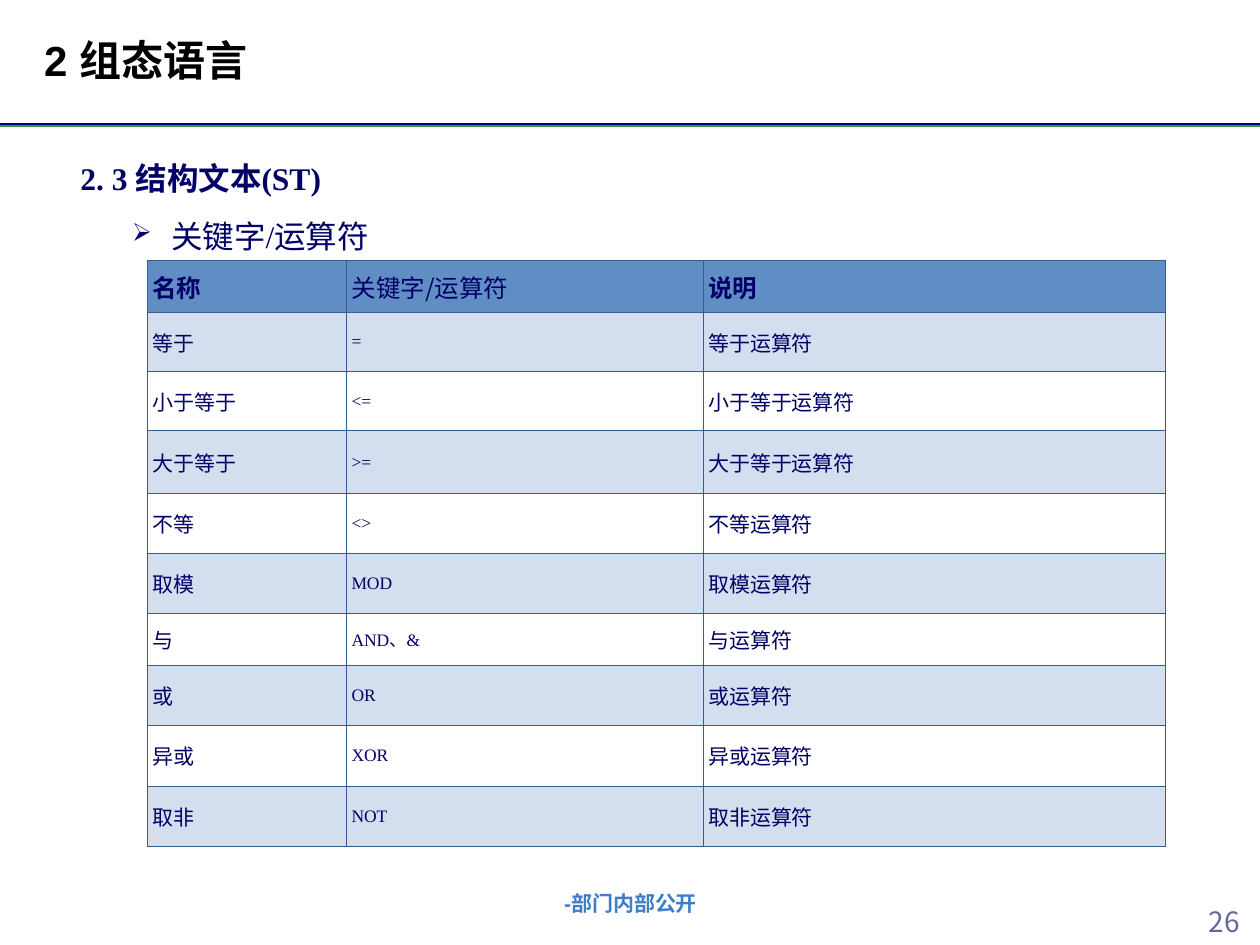
import pptx
import pptx.util
import pptx.dml.color
import pptx.enum.shapes
import pptx.enum.text
import pptx.oxml
import pptx.oxml.ns
import lxml.etree

Inches, Pt = pptx.util.Inches, pptx.util.Pt
RGBColor = pptx.dml.color.RGBColor
PP_ALIGN, ANCHOR = pptx.enum.text.PP_ALIGN, pptx.enum.text.MSO_ANCHOR
qn, parse_xml = pptx.oxml.ns.qn, pptx.oxml.parse_xml
NS = 'xmlns:a="http://schemas.openxmlformats.org/drawingml/2006/main"'

# Content
TITLE = "2 组态语言"
SECTION = "2. 3 结构文本(ST)"
TOPIC = "关键字/运算符"
FOOTER = "-部门内部公开"
PAGE = "26"
HEADER = ("名称", "关键字/运算符", "说明")
OPERATORS = [
    ("等于", "="),
    ("小于等于", "<="),
    ("大于等于", ">="),
    ("不等", "<>"),
    ("取模", "MOD"),
    ("与", "AND、&"),
    ("或", "OR"),
    ("异或", "XOR"),
    ("取非", "NOT"),
]
COLUMN_WIDTHS = (1.58, 2.83, 3.67)
ROW_HEIGHTS = (0.41, 0.47, 0.47, 0.5, 0.47, 0.48, 0.41, 0.48, 0.48, 0.48)

# Fonts and colours
SANS, SERIF, CJK = "Arial", "Times New Roman", "Noto Sans CJK SC"
BLACK = RGBColor(0x00, 0x00, 0x00)
NAVY = RGBColor(0x00, 0x00, 0x66)
RULE_BLUE = RGBColor(0x00, 0x00, 0x99)
RULE_GREEN = RGBColor(0x33, 0x99, 0x33)
FOOTER_BLUE = RGBColor(0x3D, 0x7D, 0xCB)
PAGE_PURPLE = RGBColor(0x66, 0x66, 0x99)
HEADER_FILL = RGBColor(0x60, 0x8D, 0xC4)
BAND_FILL = RGBColor(0xD3, 0xDF, 0xEE)
BORDER = RGBColor(0x34, 0x5C, 0x8C)


def write(frame, text, size, font, color, bold=False, align=PP_ALIGN.LEFT):
    frame.text = text
    paragraph = frame.paragraphs[0]
    paragraph.alignment = align
    for run in paragraph.runs:
        run.font.size, run.font.bold, run.font.name = Pt(size), bold, font
        run.font.color.rgb = color
        east_asian = parse_xml(f'<a:ea {NS} typeface="{CJK}"/>')
        run.font._element.find(qn("a:latin")).addnext(east_asian)
    return paragraph


def add_text(place, *style, wrap=True, **options):
    box = slide.shapes.add_textbox(*map(Inches, place))
    box.text_frame.word_wrap = wrap
    return write(box.text_frame, *style, **options)


def add_rule(y, color):
    rule = slide.shapes.add_connector(
        pptx.enum.shapes.MSO_CONNECTOR.STRAIGHT, 0, Inches(y), Inches(10), Inches(y))
    rule.line.color.rgb, rule.line.width = color, Pt(1.5)
    lxml.etree.SubElement(rule._element.spPr, qn("a:effectLst"))


def add_borders(cell):
    properties = cell._tc.get_or_add_tcPr()
    for side in "LRTB":
        properties.append(parse_xml(
            f'<a:ln{side} {NS} w="{Pt(0.45)}"><a:solidFill>'
            f'<a:srgbClr val="{BORDER}"/></a:solidFill></a:ln{side}>'))


presentation = pptx.Presentation()
presentation.slide_width, presentation.slide_height = Inches(10), Inches(7.5)
slide = presentation.slides.add_slide(presentation.slide_layouts[5])

# Title and double rule
title = slide.shapes.title
title.left, title.top = Inches(0.25), Inches(0)
title.width, title.height = Inches(8.98), Inches(0.94)
title.text_frame.vertical_anchor = ANCHOR.MIDDLE
write(title.text_frame, TITLE, 24, SANS, BLACK, bold=True)
add_rule(0.99, RULE_BLUE)
add_rule(1, RULE_GREEN)

# Section heading and bulleted topic
add_text((0.54, 1.21, 2.23, 0.4), SECTION, 18, SERIF, NAVY, bold=True, wrap=False)
topic = add_text((0.95, 1.67, 2.2, 0.4), TOPIC, 18, SERIF, NAVY, wrap=False)
bullet = topic._p.get_or_add_pPr()
bullet.set("marL", str(Inches(0.31)))
bullet.set("indent", str(-Inches(0.31)))
for xml in (f'<a:buClr {NS}><a:srgbClr val="{NAVY}"/></a:buClr>',
            f'<a:buSzPct {NS} val="80000"/>',
            f'<a:buChar {NS} char="➢"/>'):
    bullet.append(parse_xml(xml))

# Operator table
rows = [HEADER] + [(name, symbol, name + "运算符") for name, symbol in OPERATORS]
operators = slide.shapes.add_table(
    len(rows), len(HEADER), Inches(1.17), Inches(2.07),
    Inches(sum(COLUMN_WIDTHS)), Inches(sum(ROW_HEIGHTS))).table
operators.first_row = operators.horz_banding = False
for column, width in zip(operators.columns, COLUMN_WIDTHS):
    column.width = Inches(width)
for r, (texts, height) in enumerate(zip(rows, ROW_HEIGHTS)):
    operators.rows[r].height = Inches(height)
    for c, text in enumerate(texts):
        cell = operators.cell(r, c)
        cell.vertical_anchor = ANCHOR.MIDDLE
        cell.margin_left = cell.margin_right = Inches(0.04)
        add_borders(cell)
        if r % 2 or r == 0:
            cell.fill.solid()
            cell.fill.fore_color.rgb = BAND_FILL if r else HEADER_FILL
        else:
            cell.fill.background()
        if r == 0:
            write(cell.text_frame, text, 14, CJK, NAVY, bold=c != 1)
        elif c == 1:
            write(cell.text_frame, text, 10, SERIF, NAVY)
        else:
            entry = write(cell.text_frame, text, 12, SERIF if c else CJK, NAVY,
                          align=PP_ALIGN.JUSTIFY)
            entry.space_before = entry.space_after = Pt(12)

# Footer and page number
add_text((3.42, 7.02, 3.17, 0.34), FOOTER, 12, SANS, FOOTER_BLUE,
         bold=True, align=PP_ALIGN.CENTER)
add_text((9.43, 7.13, 0.57, 0.42), PAGE, 16, CJK, PAGE_PURPLE, align=PP_ALIGN.CENTER)

presentation.save("out.pptx")
